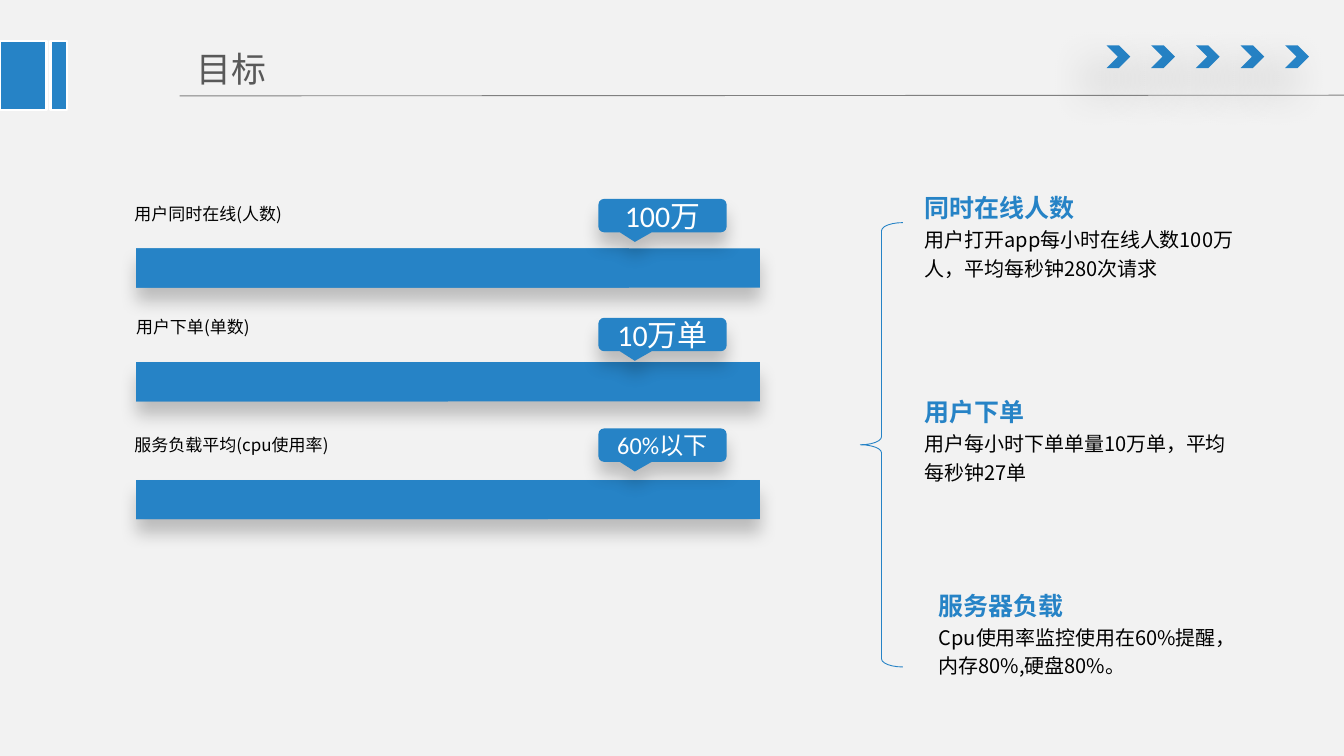
from dataclasses import dataclass

from lxml import etree
from pptx import Presentation
from pptx import util as u
from pptx.dml.color import RGBColor
from pptx.enum import shapes, text
from pptx.oxml import ns


@dataclass(frozen=True)
class Theme:
    background: str = "F2F2F2"
    accent: str = "2683C6"
    white: str = "FFFFFF"
    black: str = "000000"
    title_color: str = "595959"
    rule_color: str = "808080"
    font: str = "Noto Sans CJK SC"
    number_font: str = "Calibri"
    title: float = 28.8
    heading: float = 20.6
    body: float = 16.5
    label: float = 14
    target: float = 24.7
    small_target: float = 20


THEME = Theme()
# opacity %, blur pt, distance pt, direction in degrees
SOFT_SHADOW = (22, 14, 11, 90)
WIDE_SHADOW = (38, 36, 24, 130)


def add_effects(shape, shadow=None):
    """Give a shape an effect list: empty, or holding one outer shadow."""
    properties = shape._element.spPr
    for old in properties.findall(ns.qn("a:effectLst")):
        properties.remove(old)
    effects = etree.SubElement(properties, ns.qn("a:effectLst"))
    if shadow:
        opacity, blur, distance, direction = shadow
        outer = etree.SubElement(
            effects, ns.qn("a:outerShdw"), blurRad=str(u.Pt(blur)), dist=str(u.Pt(distance)),
            dir=str(direction * 60000), algn="t", rotWithShape="0")
        color = etree.SubElement(outer, ns.qn("a:srgbClr"), val=THEME.black)
        etree.SubElement(color, ns.qn("a:alpha"), val=str(opacity * 1000))


def add_shape(slide, kind, box, fill=THEME.accent, line=None, width=0.75, shadow=None):
    shape = slide.shapes.add_shape(kind, *map(u.Cm, box))
    if fill:
        shape.fill.solid()
        shape.fill.fore_color.rgb = RGBColor.from_string(fill)
    else:
        shape.fill.background()
    if line:
        shape.line.color.rgb = RGBColor.from_string(line)
        shape.line.width = u.Pt(width)
    else:
        shape.line.fill.background()
    add_effects(shape, shadow)
    return shape


def write(paragraph, content, size, color, font=THEME.font, bold=False):
    paragraph.text = content
    paragraph.font.size = u.Pt(size)
    paragraph.font.bold = bold
    paragraph.font.name = font
    paragraph.font.color.rgb = RGBColor.from_string(color)
    for run in paragraph.runs:
        east_asian = etree.SubElement(run._r.get_or_add_rPr(), ns.qn("a:ea"))
        east_asian.set("typeface", THEME.font)


def add_text_box(slide, box, insets=(0.25, 0.13)):
    frame = slide.shapes.add_textbox(*map(u.Cm, box)).text_frame
    frame.word_wrap = True
    frame.margin_left = frame.margin_right = u.Cm(insets[0])
    frame.margin_top = frame.margin_bottom = u.Cm(insets[1])
    return frame


def add_header(slide, box, title):
    left, top, width, height = box
    for offset in range(5):
        add_shape(slide, shapes.MSO_SHAPE.CHEVRON,
                  (left + 32.21 + offset * 1.3, top + 0.13, 0.69, 0.66), shadow=WIDE_SHADOW)
    rule = slide.shapes.add_connector(
        shapes.MSO_CONNECTOR.STRAIGHT, u.Cm(left + 5.23), u.Cm(top + height),
        u.Cm(left + width), u.Cm(top + height - 0.02))
    rule.line.color.rgb = RGBColor.from_string(THEME.rule_color)
    rule.line.width = u.Pt(0.75)
    add_effects(rule)
    for offset, block_width in ((0, 1.35), (1.47, 0.48)):
        add_shape(slide, shapes.MSO_SHAPE.RECTANGLE,
                  (left + offset, top, block_width, 2.01), line=THEME.white, width=2)
    frame = add_text_box(slide, (left + 5.36, top, 13.59, height), (0.36, 0.18))
    frame.vertical_anchor = text.MSO_ANCHOR.MIDDLE
    write(frame.paragraphs[0], title, THEME.title, THEME.title_color)


def add_target_bar(slide, box, label, label_box, progress, target, target_size, rise):
    """Draw a bar with its label and, rise above its top, the target callout."""
    left, top, width, height = box
    label_shift, label_width = label_box
    add_shape(slide, shapes.MSO_SHAPE.RECTANGLE, box, shadow=SOFT_SHADOW)
    add_shape(slide, shapes.MSO_SHAPE.RECTANGLE, (left, top, width * progress, height))
    frame = add_text_box(slide, (left + label_shift, top - 1.45, label_width, 0.86))
    write(frame.paragraphs[0], label, THEME.label, THEME.black)
    callout = add_shape(slide, shapes.MSO_SHAPE.ROUNDED_RECTANGULAR_CALLOUT,
                        (left + 13.46, top - rise, 3.73, 0.97), shadow=SOFT_SHADOW)
    for index, value in enumerate((-0.216, 0.79, 0.167)):
        callout.adjustments[index] = value
    callout.text_frame.vertical_anchor = text.MSO_ANCHOR.MIDDLE
    paragraph = callout.text_frame.paragraphs[0]
    paragraph.alignment = text.PP_ALIGN.CENTER
    write(paragraph, target, target_size, THEME.white, THEME.number_font)


def add_brace(slide, box):
    brace = add_shape(slide, shapes.MSO_SHAPE.LEFT_BRACE, box, fill=None, line=THEME.accent)
    brace.adjustments[0] = 0.19
    brace.adjustments[1] = 0.5


def add_explanation(slide, box, heading, body):
    frame = add_text_box(slide, box, (0.38, 0.2))
    write(frame.paragraphs[0], heading, THEME.heading, THEME.accent, bold=True)
    write(frame.add_paragraph(), body, THEME.body, THEME.black)
    for paragraph in frame.paragraphs:
        paragraph.line_spacing = 1.2


TARGETS = (
    # bar top, label, (label shift, label width), progress, target, size, rise
    (7.23, "用户同时在线(人数)", (-0.3, 6.63), 0.79, "100万", THEME.target, 1.44),
    (10.54, "用户下单(单数)", (-0.25, 5.84), 0.5, "10万单", THEME.target, 1.29),
    (13.97, "服务负载平均(cpu使用率)", (-0.3, 6.3), 0.66, "60%以下", THEME.small_target, 1.5),
)
EXPLANATIONS = (
    (26.54, 5.23, "同时在线人数", "用户打开app每小时在线人数100万人，平均每秒钟280次请求"),
    (26.54, 11.18, "用户下单", "用户每小时下单单量10万单，平均每秒钟27单"),
    (26.95, 16.81, "服务器负载", "Cpu使用率监控使用在60%提醒，内存80%,硬盘80%。"),
)


def main():
    presentation = Presentation()
    presentation.slide_width = u.Cm(39.12)
    presentation.slide_height = u.Cm(22)
    slide = presentation.slides.add_slide(presentation.slide_layouts[6])
    slide.background.fill.solid()
    slide.background.fill.fore_color.rgb = RGBColor.from_string(THEME.background)

    add_header(slide, (0, 1.19, 39.12, 1.6), "目标")
    for top, *details in TARGETS:
        add_target_bar(slide, (3.96, top, 18.16, 1.14), *details)
    add_brace(slide, (25.04, 6.48, 1.24, 12.93))
    for left, top, heading, body in EXPLANATIONS:
        add_explanation(slide, (left, top, 9.86, 3.53), heading, body)
    presentation.save("out.pptx")


if __name__ == "__main__":
    main()
